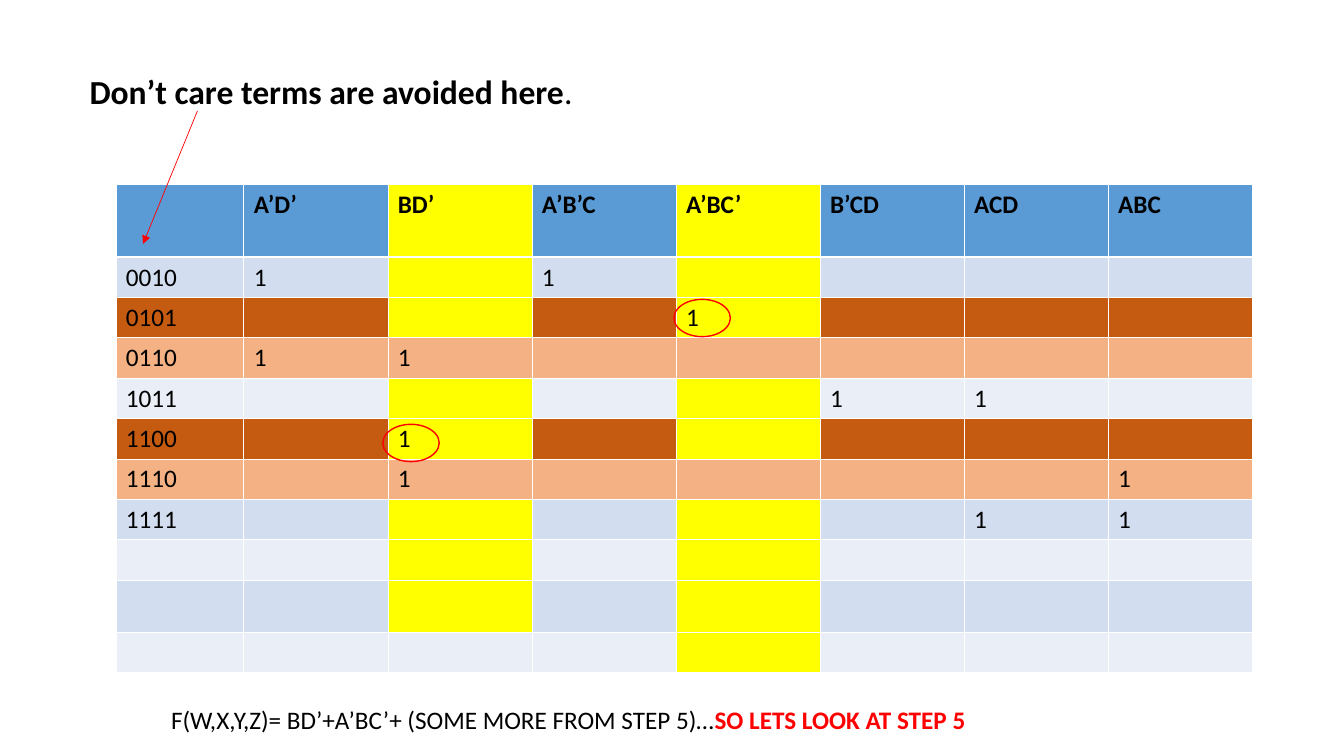
from lxml.etree import SubElement as Sub
from pptx import Presentation
from pptx.dml.color import RGBColor as RGB
from pptx.enum.shapes import MSO_CONNECTOR as Conn, MSO_SHAPE as Shape
from pptx.enum.text import MSO_ANCHOR as Anchor
from pptx.oxml.ns import qn
from pptx.util import Inches, Pt

HUES = {
    "black": "000000", "white": "FFFFFF", "red": "FF0000",
    "head": "5B9BD5", "odd": "D2DEEF", "even": "EAEFF7",
    "yellow": "FFFF00", "dark": "C55A11", "light": "F4B183",
}

# Table content: each minterm with the columns it marks
TERMS = ["A’D’", "BD’", "A’B’C", "A’BC’", "B’CD", "ACD", "ABC"]
MARKS = [
    ("0010", (1, 3)), ("0101", (4,)), ("0110", (1, 2)), ("1011", (5, 6)),
    ("1100", (2,)), ("1110", (2, 7)), ("1111", (6, 7)),
    ("", ()), ("", ()), ("", ()),
]
WIDTHS = [1.27] + [1.43] * 7
HEIGHTS = [0.72] + [0.4] * 8 + [0.52, 0.4]
DARK, LIGHT = (2, 5), (3, 6)  # rows covered, and rows dropped with them


def hue(name):
    return RGB.from_string(HUES[name])


def write(para, text, size=18, color="black", bold=False, face="Calibri"):
    run = para.add_run()
    run.text = text
    font = run.font
    font.name, font.size, font.bold = face, Pt(size), bold
    font.color.rgb = hue(color)


def shade(row, col):
    if row in LIGHT:
        return "light"
    if col == 4 or (col == 2 and row < 10):
        return "yellow"
    if row == 0:
        return "head"
    if row in DARK:
        return "dark"
    return "odd" if row % 2 else "even"


class Page:
    def __init__(self, slide, line="red", grid="white"):
        self.shapes = slide.shapes
        self.line, self.grid = line, grid

    def text(self, box, parts, anchor=Anchor.TOP, space=1.0):
        frame = self.shapes.add_textbox(*map(Inches, box)).text_frame
        frame.word_wrap = True
        frame.vertical_anchor = anchor
        para = frame.paragraphs[0]
        para.line_spacing = space
        for words, style in parts:
            write(para, words, **style)

    def edge(self, cell, row):
        props = cell._tc.get_or_add_tcPr()
        for spot, side in enumerate("LRTB"):
            thick = (row, side) in ((0, "B"), (1, "T"))
            width = Pt(1.47 if thick else 0.45)
            line = Sub(props, qn(f"a:ln{side}"), w=str(width))
            fill = Sub(line, qn("a:solidFill"))
            Sub(fill, qn("a:srgbClr"), val=HUES[self.grid])
            props.insert(spot, line)

    def table(self, left, top, rows):
        size = sum(WIDTHS), sum(HEIGHTS)
        grid = self.shapes.add_table(
            len(HEIGHTS), len(WIDTHS), *map(Inches, (left, top, *size))).table
        grid.first_row = grid.horz_banding = False
        for col, width in zip(grid.columns, WIDTHS):
            col.width = Inches(width)
        for row, height in zip(grid.rows, HEIGHTS):
            row.height = Inches(height)
        for r, row in enumerate(rows):
            for c, words in enumerate(row):
                cell = grid.cell(r, c)
                cell.fill.solid()
                cell.fill.fore_color.rgb = hue(shade(r, c))
                self.edge(cell, r)
                if words:
                    write(cell.text_frame.paragraphs[0], words, bold=r == 0)

    def arrow(self, start, end):
        link = self.shapes.add_connector(
            Conn.STRAIGHT, *map(Inches, start + end))
        link.line.color.rgb = hue(self.line)
        link.line.width = Pt(0.5)
        Sub(link.line._get_or_add_ln(), qn("a:tailEnd"), type="triangle")
        Sub(link._element.spPr, qn("a:effectLst"))

    def ring(self, left, top):
        oval = self.shapes.add_shape(
            Shape.OVAL, *map(Inches, (left, top, 0.56, 0.37)))
        oval.shadow.inherit = False
        oval.fill.background()
        oval.line.color.rgb = hue(self.line)
        oval.line.width = Pt(1)


def main():
    deck = Presentation()
    deck.slide_width, deck.slide_height = Inches(13.34), Inches(7.5)
    page = Page(deck.slides.add_slide(deck.slide_layouts[6]))

    # Title
    page.text((0.79, 0, 11.62, 1.85), [
        ("Don’t care terms are avoided here", {"size": 24, "bold": True}),
        (".", {"size": 24}),
    ], anchor=Anchor.MIDDLE, space=0.9)

    # Cover table
    rows = [[""] + TERMS]
    for term, marks in MARKS:
        rows.append([term] + ["1" if c in marks else "" for c in range(1, 8)])
    page.table(1.15, 1.83, rows)

    # Result
    page.text((1.6, 6.94, 11.37, 0.4), [
        ("F(W,X,Y,Z)= BD’+A’BC’+ (SOME MORE FROM STEP 5)…", {}),
        ("SO LETS LOOK AT STEP 5", {"color": "red", "bold": True}),
    ])

    # Pointer and rings round the lone marks
    page.arrow((1.96, 1.1), (1.42, 2.42))
    page.ring(6.69, 2.97)
    page.ring(3.8, 4.21)

    deck.save("out.pptx")


if __name__ == "__main__":
    main()
